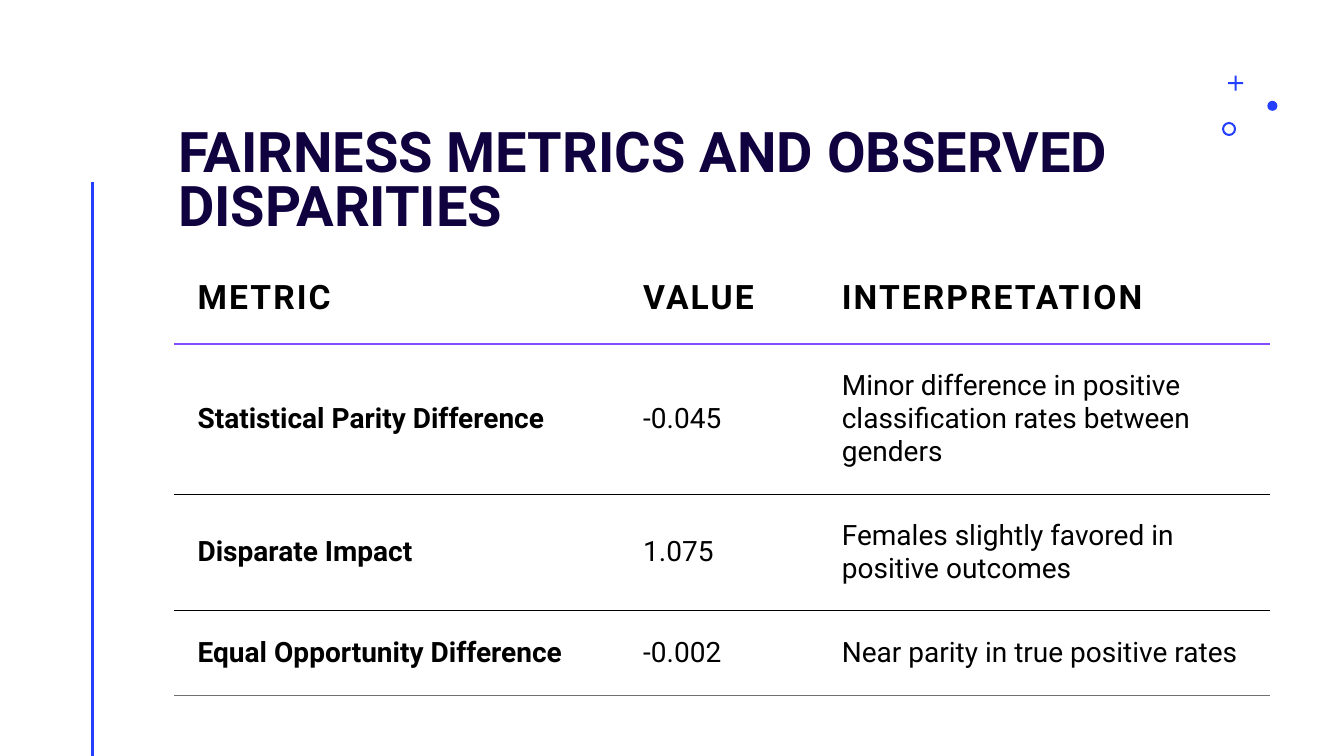
import pptx
import pptx.util
import pptx.dml.color
import pptx.enum.shapes
import pptx.enum.text
import pptx.oxml
import pptx.oxml.ns
from lxml import etree

Inches, Pt = pptx.util.Inches, pptx.util.Pt
SHAPE = pptx.enum.shapes.MSO_SHAPE
ANCHOR = pptx.enum.text.MSO_ANCHOR
WIDTH, HEIGHT = 13.33, 7.5
BLUE, NAVY, VIOLET, BLACK, GRAY = "243FFF", "10013F", "814DFF", "000000", "707070"

ROWS = [
    ("METRIC", "VALUE", "INTERPRETATION"),
    ("Statistical Parity Difference", "-0.045",
     "Minor difference in positive classification rates between genders"),
    ("Disparate Impact", "1.075", "Females slightly favored in positive outcomes"),
    ("Equal Opportunity Difference", "-0.002", "Near parity in true positive rates"),
]
COLUMN_WIDTHS = (4.42, 1.97, 4.48)
ROW_HEIGHTS = (0.91, 1.49, 1.16, 0.84)
ROW_RULES = ((VIOLET, 1.5), (BLACK, 0.5), (BLACK, 0.5), (GRAY, 0.5))


def rgb(value):
    return pptx.dml.color.RGBColor.from_string(value)


def set_all(target, values):
    for name, value in values.items():
        setattr(target, name, value)


def format_font(font, size, color, bold):
    set_all(font, {"name": "Roboto", "size": Pt(size), "bold": bold})
    font.color.rgb = rgb(color)


def add_title(slide, text, left, top, width, height):
    title = slide.shapes.title
    set_all(title, {"left": Inches(left), "top": Inches(top),
                    "width": Inches(width), "height": Inches(height)})
    tf = title.text_frame
    set_all(tf, {"text": text, "word_wrap": True, "vertical_anchor": ANCHOR.BOTTOM,
                 "auto_size": pptx.enum.text.MSO_AUTO_SIZE.NONE})
    p = tf.paragraphs[0]
    set_all(p, {"alignment": pptx.enum.text.PP_ALIGN.LEFT, "line_spacing": 0.8})
    format_font(p.runs[0].font, 40, NAVY, True)


def add_side_line(slide, x, top, bottom):
    line = slide.shapes.add_connector(
        pptx.enum.shapes.MSO_CONNECTOR.STRAIGHT,
        Inches(x), Inches(top), Inches(x), Inches(bottom))
    line.line.color.rgb = rgb(BLUE)
    line.line.width = Pt(2)
    etree.SubElement(line._element.spPr, pptx.oxml.ns.qn("a:effectLst"))


def add_ornament(slide, left, top):
    """Place the dot, plus and ring relative to their common top left corner."""
    marks = [(SHAPE.OVAL, 0.45, 0.25, 0.1, None),
             (SHAPE.CROSS, 0.06, 0, 0.15, 0.43),
             (SHAPE.DONUT, 0, 0.46, 0.14, 0.15)]
    for kind, dx, dy, size, adjustment in marks:
        sp = slide.shapes.add_shape(kind, Inches(left + dx), Inches(top + dy),
                                    Inches(size), Inches(size))
        if adjustment is not None:
            sp.adjustments[0] = adjustment
        sp.fill.solid()
        sp.fill.fore_color.rgb = rgb(BLUE)
        sp.line.fill.background()
        sp.shadow.inherit = False


def set_borders(cell, top, bottom):
    """Draw the given (color, width) rules and clear the other sides."""
    sides = {"lnL": None, "lnR": None, "lnT": top, "lnB": bottom}
    for i, (side, rule) in enumerate(sides.items()):
        color, width = rule or (None, 0)
        fill = (f'<a:solidFill><a:srgbClr val="{color}"/></a:solidFill>'
                if rule else "<a:noFill/>")
        border = pptx.oxml.parse_xml(
            f'<a:{side} {pptx.oxml.ns.nsdecls("a")} w="{Pt(width)}">{fill}</a:{side}>')
        cell._tc.get_or_add_tcPr().insert(i, border)


def fill_cell(cell, text, row, column):
    margins = ("margin_left", "margin_right", "margin_top", "margin_bottom")
    set_all(cell, dict.fromkeys(margins, Inches(0.23)))
    set_all(cell, {"text": text, "vertical_anchor": ANCHOR.MIDDLE})
    cell.fill.background()
    font = cell.text_frame.paragraphs[0].runs[0].font
    header = row == 0
    format_font(font, 24 if header else 20, BLACK, header or column == 0)
    if header:
        font._element.set("spc", "150")
    set_borders(cell, None if header else ROW_RULES[row - 1], ROW_RULES[row])


def add_metrics_table(slide, left, top):
    frame = slide.shapes.add_table(
        len(ROWS), len(COLUMN_WIDTHS), Inches(left), Inches(top),
        Inches(sum(COLUMN_WIDTHS)), Inches(sum(ROW_HEIGHTS)))
    table = frame.table
    set_all(table, {"first_row": False, "horz_banding": False})
    for column, width in zip(table.columns, COLUMN_WIDTHS):
        column.width = Inches(width)
    for r, (height, texts) in enumerate(zip(ROW_HEIGHTS, ROWS)):
        table.rows[r].height = Inches(height)
        for c, text in enumerate(texts):
            fill_cell(table.cell(r, c), text, r, c)


def build_metrics_slide(prs):
    slide = prs.slides.add_slide(prs.slide_layouts[5])
    add_side_line(slide, 0.92, 1.81, HEIGHT)
    add_ornament(slide, 12.12, 0.75)
    add_title(slide, "FAIRNESS METRICS AND OBSERVED DISPARITIES",
              WIDTH / 8, HEIGHT / 10, 9.9, HEIGHT * 0.22)
    add_metrics_table(slide, 1.73, HEIGHT / 3)


def main():
    prs = pptx.Presentation()
    set_all(prs, {"slide_width": Inches(WIDTH), "slide_height": Inches(HEIGHT)})
    build_metrics_slide(prs)
    prs.save("out.pptx")


if __name__ == "__main__":
    main()
